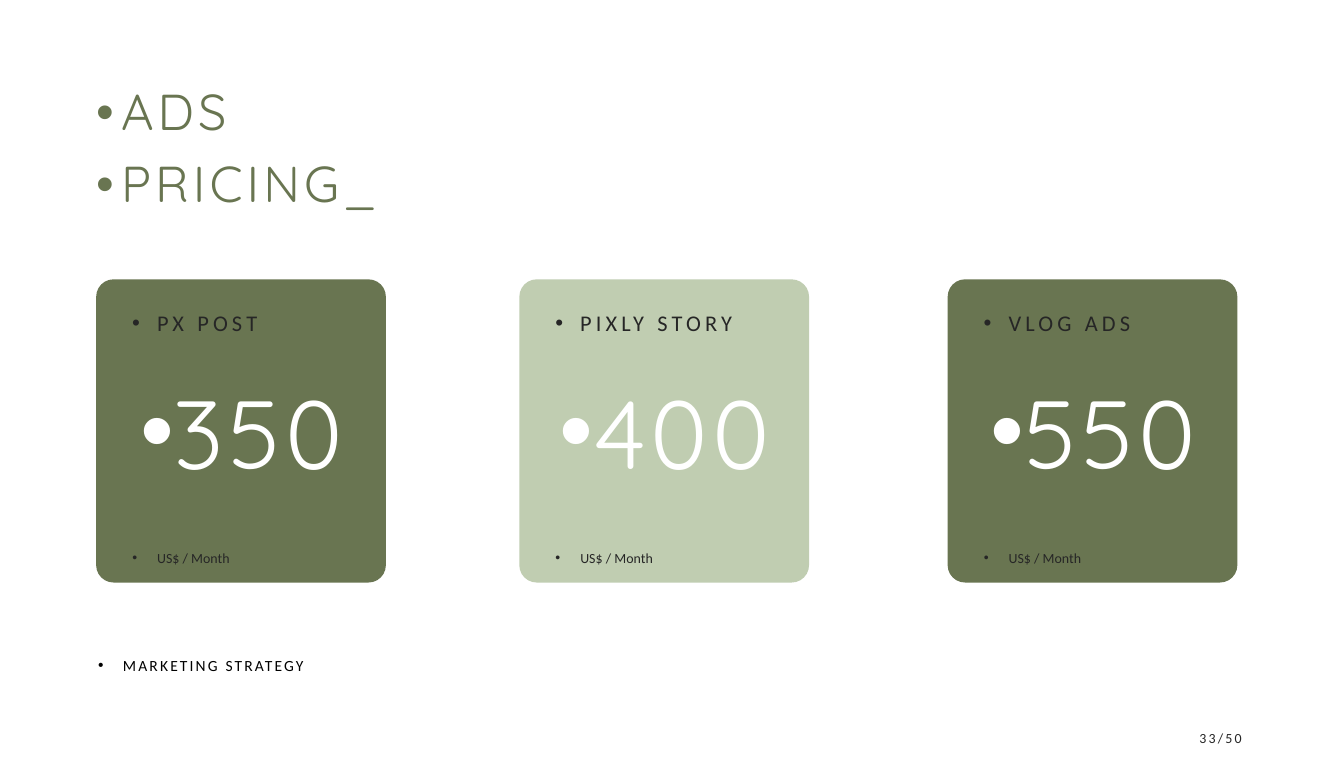
import dataclasses
import typing

import lxml.etree
import pptx
import pptx.dml.color
import pptx.enum.shapes
import pptx.enum.text
import pptx.oxml.ns
import pptx.util

Inches = pptx.util.Inches
Pt = pptx.util.Pt
Align = pptx.enum.text.PP_ALIGN
Anchor = pptx.enum.text.MSO_ANCHOR

OLIVE = "697551"
SAGE = "C0CDB1"
CHARCOAL = "262626"
HANG = 0.24


@dataclasses.dataclass(frozen=True)
class TextStyle:
    font: str
    size: float
    color: str
    tracking: float = 0
    line_spacing: float = 1.0
    space_between: float = 0
    align: Align = Align.LEFT
    anchor: Anchor = Anchor.TOP
    bulleted: bool = True


@dataclasses.dataclass(frozen=True)
class Offer:
    left: float
    name: str
    price: str
    fill: str


HEADING = TextStyle("Quicksand", 35.1, OLIVE, 2.9, 0.96, 9.7)
OFFER_NAME = TextStyle("Calibri", 15.6, CHARCOAL, 2.9, 1.5)
PRICE = TextStyle("Quicksand", 67.2, "FFFFFF", 2.9, align=Align.CENTER)
UNIT = TextStyle("Calibri", 9.7, CHARCOAL, line_spacing=1.5)
SECTION = TextStyle("Calibri", 10.8, "000000", 1.5, 0.8)
PAGE = TextStyle("Calibri", 9.7, CHARCOAL, 1.5, align=Align.RIGHT,
                 anchor=Anchor.MIDDLE, bulleted=False)

OFFERS = [
    Offer(0.93, "PX POST", "350", OLIVE),
    Offer(5.02, "PIXLY STORY", "400", SAGE),
    Offer(9.16, "VLOG ADS", "550", OLIVE),
]


def rgb(color: str) -> pptx.dml.color.RGBColor:
    return pptx.dml.color.RGBColor.from_string(color)


def add_bullet(paragraph: typing.Any) -> None:
    properties = paragraph._p.get_or_add_pPr()
    properties.set("marL", str(Inches(HANG)))
    properties.set("indent", str(-Inches(HANG)))
    qn = pptx.oxml.ns.qn
    lxml.etree.SubElement(properties, qn("a:buFont")).set("typeface", "Arial")
    lxml.etree.SubElement(properties, qn("a:buChar")).set("char", "•")


def write(frame: typing.Any, lines: list[str], style: TextStyle) -> None:
    frame.word_wrap = True
    frame.auto_size = pptx.enum.text.MSO_AUTO_SIZE.NONE
    frame.vertical_anchor = style.anchor
    for number, line in enumerate(lines):
        paragraph = frame.add_paragraph() if number else frame.paragraphs[0]
        if style.bulleted:
            add_bullet(paragraph)
        paragraph.alignment = style.align
        paragraph.line_spacing = style.line_spacing
        paragraph.space_before = Pt(style.space_between if number else 0)
        run = paragraph.add_run()
        run.text = line
        run.font.name = style.font
        run.font.size = Pt(style.size)
        run.font.color.rgb = rgb(style.color)
        if style.tracking:
            run._r.get_or_add_rPr().set("spc", str(round(style.tracking * 100)))


def add_text(slide: typing.Any, left: float, top: float, width: float,
             height: float, text: str, style: TextStyle) -> None:
    box = slide.shapes.add_textbox(
        Inches(left), Inches(top), Inches(width), Inches(height))
    write(box.text_frame, [text], style)


def add_offer(slide: typing.Any, offer: Offer) -> None:
    card = slide.shapes.add_shape(
        pptx.enum.shapes.MSO_SHAPE.ROUNDED_RECTANGLE,
        Inches(offer.left), Inches(2.7), Inches(2.8), Inches(2.93))
    card.adjustments[0] = 0.06
    card.shadow.inherit = False
    card.fill.solid()
    card.fill.fore_color.rgb = rgb(offer.fill)
    card.line.fill.background()
    add_text(slide, offer.left + 0.25, 2.81, 2.23, 0.42, offer.name, OFFER_NAME)
    add_text(slide, offer.left + 0.17, 3.55, 2.47, 1.21, offer.price, PRICE)
    add_text(slide, offer.left + 0.25, 5.18, 1.95, 0.28, "US$ / Month", UNIT)


def main() -> None:
    deck = pptx.Presentation()
    deck.slide_width = Inches(12.99)
    deck.slide_height = Inches(7.48)
    slide = deck.slides.add_slide(deck.slide_layouts.get_by_name("Title Only"))

    heading = slide.shapes.title
    heading.left, heading.top = Inches(0.83), Inches(0.76)
    heading.width, heading.height = Inches(3.36), Inches(1.26)
    write(heading.text_frame, ["ADS", "PRICING_"], HEADING)

    for offer in OFFERS:
        add_offer(slide, offer)

    add_text(slide, 0.85, 6.33, 2.88, 0.25, "MARKETING STRATEGY", SECTION)
    add_text(slide, 9.18, 6.93, 2.92, 0.4, "33/50", PAGE)
    deck.save("out.pptx")


if __name__ == "__main__":
    main()
